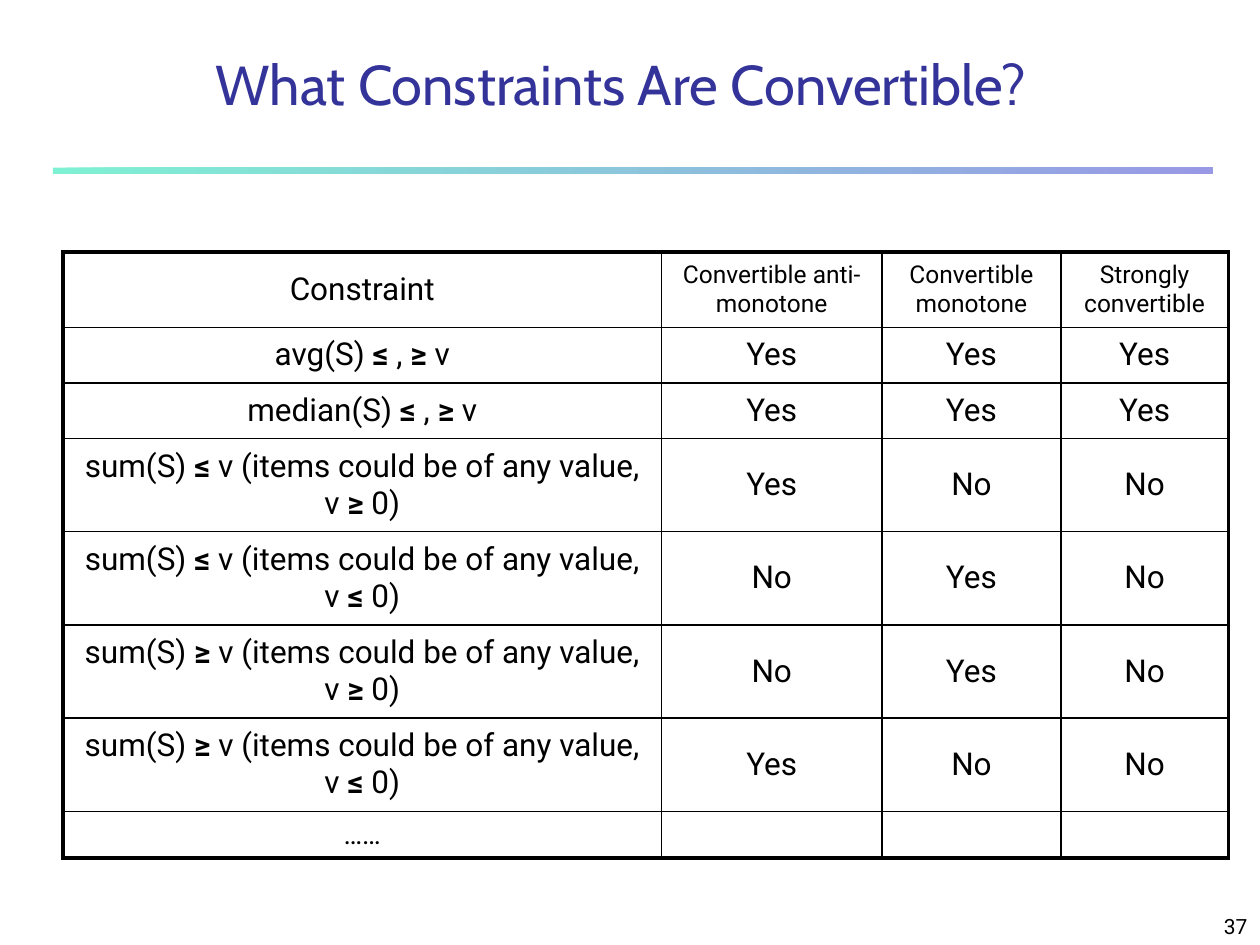
from itertools import groupby
from lxml import etree
from pptx import Presentation
from pptx import util as u
from pptx.dml import color
from pptx.enum import shapes, text
from pptx.oxml import ns

Inches, Pt = u.Inches, u.Pt


def rgb(value):
    return color.RGBColor.from_string(value)


def style_font(font, name, size, value, bold=False):
    font.name, font.size, font.bold = name, Pt(size), bold
    font.color.rgb = rgb(value)


presentation = Presentation()
presentation.slide_width, presentation.slide_height = Inches(10), Inches(7.5)
slide = presentation.slides.add_slide(presentation.slide_layouts[5])

rule = slide.shapes.add_shape(shapes.MSO_SHAPE.RECTANGLE, Inches(0.42), Inches(1.33), Inches(9.2), Inches(0.05))
rule.shadow.inherit = False
rule.line.fill.background()
rule.fill.gradient()
rule.fill.gradient_angle = 0
for stop, value in zip(rule.fill.gradient_stops, ("00E4A8", "3333CC")):
    stop.color.rgb = rgb(value)
for stop_color in rule.fill._xPr.iter(ns.qn("a:srgbClr")):
    etree.SubElement(stop_color, ns.qn("a:alpha"), val="50000")

title = slide.shapes.title
title.left, title.top, title.width, title.height = Inches(0.92), Inches(0.33), Inches(8.02), Inches(0.65)
page_number = slide.shapes.add_textbox(Inches(7.92), Inches(7.08), Inches(2.08), Inches(0.42))
for shape, words, alignment, font in (
    (title, "What Constraints Are Convertible?", text.PP_ALIGN.CENTER, ("Cabin", 32, "333399")),
    (page_number, "37", text.PP_ALIGN.RIGHT, ("Roboto", 12, "000000")),
):
    frame = shape.text_frame
    frame.text = words
    frame.word_wrap = True
    frame.auto_size = text.MSO_AUTO_SIZE.NONE
    frame.vertical_anchor = text.MSO_ANCHOR.BOTTOM
    frame.paragraphs[0].alignment = alignment
    style_font(frame.paragraphs[0].runs[0].font, *font)

rows = [
    ("Constraint", "Convertible anti-monotone", "Convertible monotone", "Strongly convertible"),
    ("avg(S) ≤ , ≥ v", "Yes", "Yes", "Yes"),
    ("median(S) ≤ , ≥ v", "Yes", "Yes", "Yes"),
    ("sum(S) ≤ v (items could be of any value, v ≥ 0)", "Yes", "No", "No"),
    ("sum(S) ≤ v (items could be of any value, v ≤ 0)", "No", "Yes", "No"),
    ("sum(S) ≥ v (items could be of any value, v ≥ 0)", "No", "Yes", "No"),
    ("sum(S) ≥ v (items could be of any value, v ≤ 0)", "Yes", "No", "No"),
    ("……", "", "", ""),
]
column_widths = (4.75, 1.75, 1.42, 1.33)
row_heights = (0.6, 0.44, 0.44, 0.74, 0.74, 0.74, 0.74, 0.37)
last_row, last_column = len(rows) - 1, len(column_widths) - 1

table = slide.shapes.add_table(
    len(rows), len(column_widths), Inches(0.5), Inches(2), Inches(9.25), Inches(4.81)
).table
table.first_row = table.horz_banding = False
for column, width in zip(table.columns, column_widths):
    column.width = Inches(width)
for row, height in zip(table.rows, row_heights):
    row.height = Inches(height)

for row_index, row in enumerate(rows):
    for column_index, words in enumerate(row):
        cell = table.cell(row_index, column_index)
        cell.vertical_anchor = text.MSO_ANCHOR.MIDDLE
        paragraph = cell.text_frame.paragraphs[0]
        paragraph.alignment = text.PP_ALIGN.CENTER
        size = 16 if row_index == last_row else 14 if row_index == 0 and column_index else 18
        for is_sign, characters in groupby(words, lambda character: character in "≤≥"):
            run = paragraph.add_run()
            run.text = "".join(characters)
            style_font(run.font, "Roboto", size, "000000", is_sign)
        if not words:
            etree.SubElement(paragraph._p, ns.qn("a:endParaRPr"), sz=str(size * 100))

        properties = cell._tc.get_or_add_tcPr()
        outer_edges = {
            "L": column_index == 0,
            "R": column_index == last_column,
            "T": row_index == 0,
            "B": row_index == last_row,
        }
        for side, is_outer in outer_edges.items():
            border = etree.SubElement(properties, ns.qn(f"a:ln{side}"), w=str(Pt(2.25 if is_outer else 1)))
            border_fill = etree.SubElement(border, ns.qn("a:solidFill"))
            etree.SubElement(border_fill, ns.qn("a:srgbClr"), val="000000")
        cell.fill.background()

presentation.save("out.pptx")
